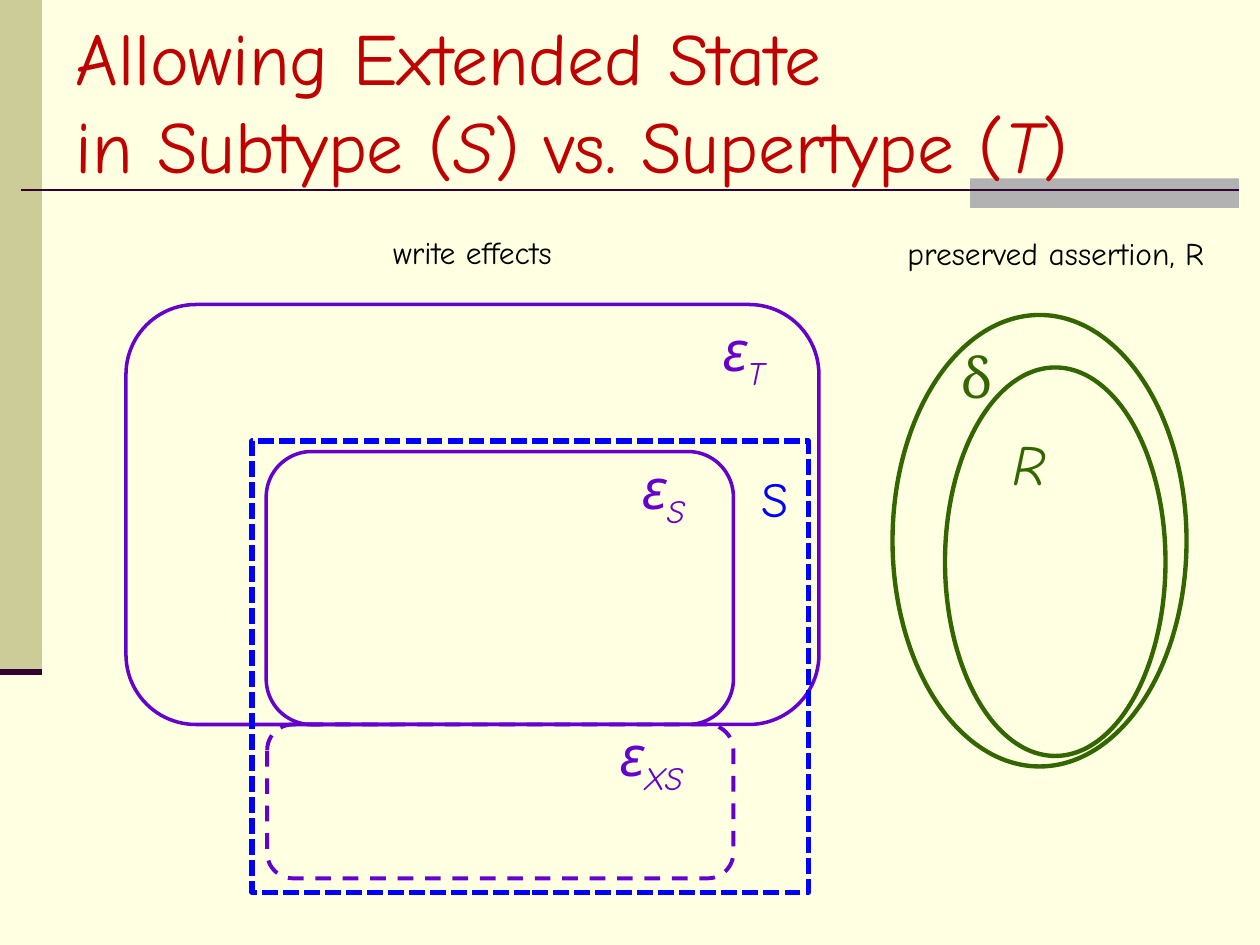
from dataclasses import dataclass

from pptx import Presentation
from pptx import util as u
from pptx.dml.color import RGBColor
from pptx.enum import dml, shapes, text
from pptx.oxml.ns import qn
from lxml import etree


@dataclass(frozen=True)
class Theme:
    background: str = "FFFFE1"
    band: str = "CCCC99"
    accent: str = "B2B2B2"
    rule: str = "330033"
    title: str = "C00000"
    effect: str = "6600CC"
    assertion: str = "336600"
    subtype: str = "0000FF"
    caption: str = "000000"
    font: str = "Comic Neue"
    greek_font: str = "Cambria"
    title_size: int = 42
    symbol_size: int = 32
    subtype_size: int = 28
    caption_size: int = 18


THEME = Theme()
COLUMNS, ROWS = 120, 90
CELL = u.Inches(10) / COLUMNS
RECTANGLE = shapes.MSO_SHAPE.RECTANGLE
ROUNDED = shapes.MSO_SHAPE.ROUNDED_RECTANGLE
OVAL = shapes.MSO_SHAPE.OVAL


def grid(*cells):
    return [u.Emu(round(cell * CELL)) for cell in cells]


def add_block(slide, box, color):
    shape = slide.shapes.add_shape(RECTANGLE, *grid(*box))
    shape.shadow.inherit = False
    shape.fill.solid()
    shape.fill.fore_color.rgb = RGBColor.from_string(color)
    shape.line.fill.background()


def add_outline(slide, kind, box, color, width, dash=None):
    shape = slide.shapes.add_shape(kind, *grid(*box))
    shape.shadow.inherit = False
    shape.fill.background()
    shape.line.color.rgb = RGBColor.from_string(color)
    shape.line.width = u.Pt(width)
    if dash is not None:
        shape.line.dash_style = dash


def add_rule(slide, start, end, row, width):
    rule = slide.shapes.add_connector(
        shapes.MSO_CONNECTOR.STRAIGHT, *grid(start, row, end, row))
    rule.line.color.rgb = RGBColor.from_string(THEME.rule)
    rule.line.width = u.Pt(width)
    etree.SubElement(rule.element.spPr, qn("a:effectLst"))


def style(paragraph, size, color, font=THEME.font):
    paragraph.font.size = u.Pt(size)
    paragraph.font.name = font
    paragraph.font.color.rgb = RGBColor.from_string(color)


def add_title(slide, box, lines):
    frame = slide.shapes.add_textbox(*grid(*box)).text_frame
    frame.word_wrap = True
    frame.vertical_anchor = text.MSO_ANCHOR.MIDDLE
    paragraph = frame.paragraphs[0]
    style(paragraph, THEME.title_size, THEME.title)
    for index, line in enumerate(lines):
        if index:
            paragraph.add_line_break()
        for content, italic in line:
            run = paragraph.add_run()
            run.text = content
            run.font.italic = italic


def add_label(slide, box, content, size, color, font=THEME.font,
              italic=False, subscript=None):
    frame = slide.shapes.add_textbox(*grid(*box)).text_frame
    frame.word_wrap = False
    paragraph = frame.paragraphs[0]
    paragraph.alignment = text.PP_ALIGN.CENTER
    style(paragraph, size, color, font)
    paragraph.font.italic = italic
    paragraph.add_run().text = content
    if subscript:
        run = paragraph.add_run()
        run.text = subscript
        run.font._element.set("baseline", "-25000")


def add_effect(slide, box, subscript):
    add_label(slide, box, "ε", THEME.symbol_size, THEME.effect,
              italic=True, subscript=subscript)


def draw_frame(slide):
    add_block(slide, (0, 0, 4, 64), THEME.band)
    add_block(slide, (92.4, 17, 25.6, 2.8), THEME.accent)
    add_rule(slide, 2, 118, 18.1, 1.5)
    add_rule(slide, 0, 4, 64, 3.5)
    add_title(slide, (6, 2, 112, 15), [
        [("Allowing Extended State ", False)],
        [("in Subtype (", False), ("S", True), (") vs. Supertype (", False),
         ("T", True), (")", False)],
    ])


def draw_write_effects(slide):
    add_label(slide, (34.2, 21.6, 21.6, 4.8), "write effects",
              THEME.caption_size, THEME.caption)
    add_outline(slide, ROUNDED, (12, 29, 66, 40), THEME.effect, 2)
    add_outline(slide, ROUNDED, (25.35, 43, 44.5, 26), THEME.effect, 2)
    add_outline(slide, ROUNDED, (25.45, 69, 44.4, 14.65), THEME.effect, 2.25,
                dml.MSO_LINE.DASH)
    add_outline(slide, RECTANGLE, (24, 42, 53, 43), THEME.subtype, 3,
                dml.MSO_LINE.SQUARE_DOT)
    add_effect(slide, (67, 29.5, 7.6, 7.7), "T")
    add_effect(slide, (59.3, 42.6, 7.7, 7.7), "S")
    add_effect(slide, (56.9, 68, 10.2, 7.7), "XS")
    add_label(slide, (71, 44, 5.6, 6.8), "S", THEME.subtype_size, THEME.subtype)


def draw_assertion(slide):
    add_label(slide, (83.4, 21.7, 34.3, 4.8), "preserved assertion, R",
              THEME.caption_size, THEME.caption)
    add_outline(slide, OVAL, (85, 30, 28, 43), THEME.assertion, 2.5)
    add_outline(slide, OVAL, (90, 35, 21, 37), THEME.assertion, 2.5)
    add_label(slide, (90, 32, 6, 7.7), "δ", THEME.symbol_size,
              THEME.assertion, THEME.greek_font)
    add_label(slide, (95, 40.3, 6, 7.7), "R", THEME.symbol_size,
              THEME.assertion, italic=True)


def main():
    presentation = Presentation()
    presentation.slide_width, presentation.slide_height = grid(COLUMNS, ROWS)
    slide = presentation.slides.add_slide(presentation.slide_layouts[6])
    slide.background.fill.solid()
    slide.background.fill.fore_color.rgb = RGBColor.from_string(THEME.background)
    draw_frame(slide)
    draw_write_effects(slide)
    draw_assertion(slide)
    presentation.save("out.pptx")


if __name__ == "__main__":
    main()
